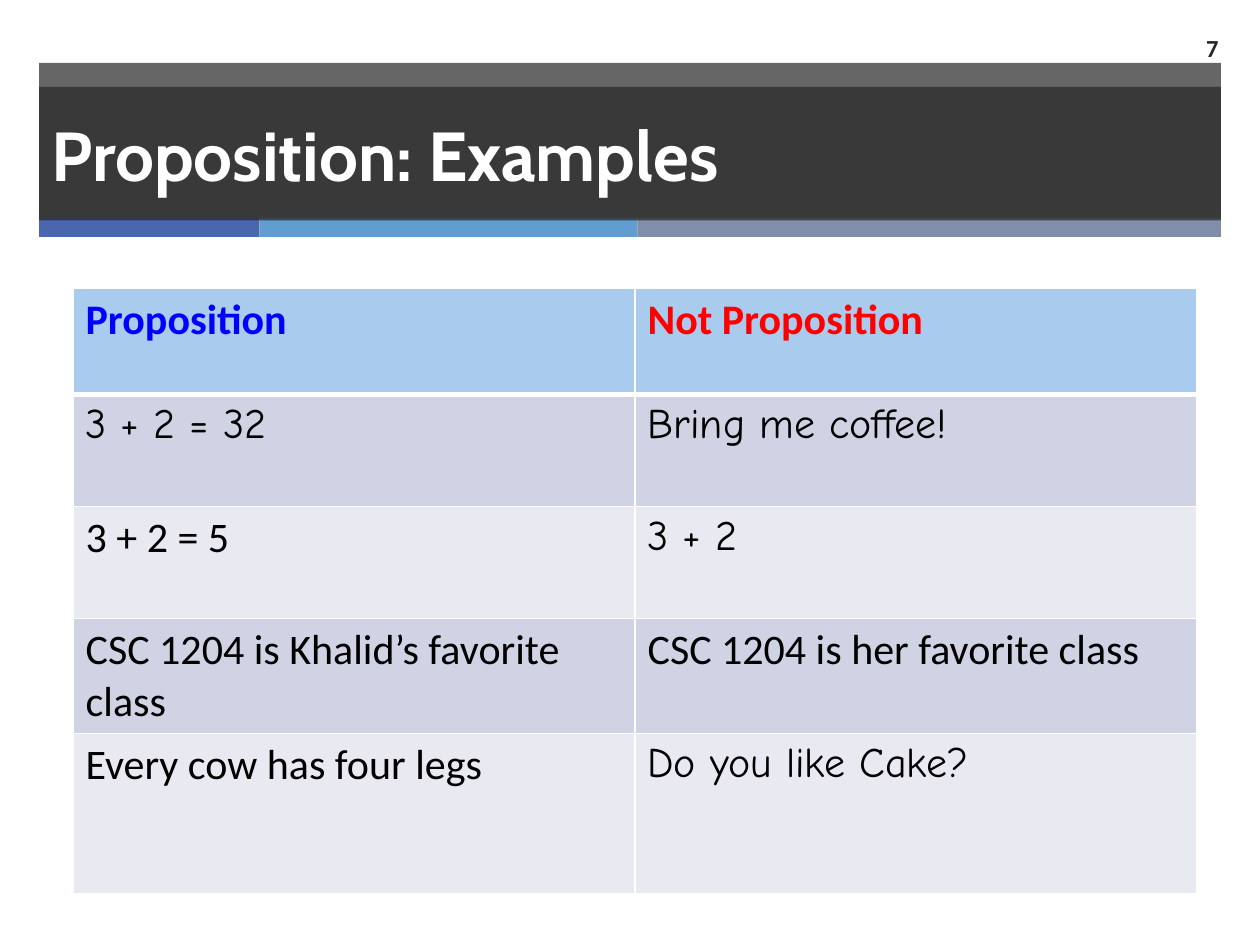
from dataclasses import dataclass

from pptx import Presentation
from pptx.dml.color import RGBColor
from pptx.enum.shapes import MSO_SHAPE
from pptx.enum.text import MSO_ANCHOR, PP_ALIGN
from pptx.oxml.ns import qn
from pptx.oxml.xmlchemy import OxmlElement
from pptx.util import Inches, Pt


@dataclass(frozen=True)
class Theme:
    dark: str = "262626"
    white: str = "FFFFFF"
    black: str = "000000"
    blue: str = "0000FF"
    red: str = "FF0000"
    header: str = "A9CCEE"
    bands: tuple = ("D0D3E3", "E9EAF1")
    stripes: tuple = ("4A66AC", "629DD1", "7F8FA9")
    heading: str = "Cabin"
    body: str = "Calibri"
    hand: str = "Comic Neue"
    title_size: float = 39.6
    body_size: float = 24
    number_size: float = 14


THEME = Theme()
HEADINGS = [("Proposition", THEME.blue), ("Not Proposition", THEME.red)]
ROWS = [
    [("3 + 2 = 32", THEME.hand), ("Bring me coffee!", THEME.hand)],
    [("3 + 2 = 5", THEME.body), ("3 + 2", THEME.hand)],
    [("CSC 1204 is Khalid’s favorite class", THEME.body),
     ("CSC 1204 is her favorite class", THEME.body)],
    [("Every cow has four legs", THEME.body), ("Do you like Cake?", THEME.hand)],
]
ROW_HEIGHTS = [0.84, 0.89, 0.89, 0.91, 1.27]


def write(tf, text, color, **formats):
    p = tf.paragraphs[0]
    r = p.add_run()
    r.text = text
    r.font.color.rgb = RGBColor.from_string(color)
    for name, value in formats.items():
        setattr(r.font, name, value)
    return p


def add_bar(slide, left, top, width, height, color, opacity=100):
    sp = slide.shapes.add_shape(MSO_SHAPE.RECTANGLE, Inches(left), Inches(top),
                                Inches(width), Inches(height))
    sp.shadow.inherit = False
    sp.line.fill.background()
    sp.fill.solid()
    sp.fill.fore_color.rgb = RGBColor.from_string(color)
    if opacity < 100:
        alpha = OxmlElement("a:alpha")
        alpha.set("val", str(opacity * 1000))
        sp.element.spPr.find(qn("a:solidFill"))[0].append(alpha)
    return sp


def add_title_banner(slide, left, top, width, title):
    add_bar(slide, left, top, width, 1.24, THEME.dark, 70)
    x = left
    stripe_widths = (1.75, 3, width - 4.75)
    for stripe_width, color in zip(stripe_widths, THEME.stripes):
        add_bar(slide, x, top + 1.23, stripe_width, 0.15, color)
        x += stripe_width
    sp = add_bar(slide, left, top + 0.19, width, 1.06, THEME.dark, 70)
    tf = sp.text_frame
    tf.vertical_anchor = MSO_ANCHOR.MIDDLE
    p = write(tf, title, THEME.white, name=THEME.heading,
              size=Pt(THEME.title_size), bold=True)
    p.alignment = PP_ALIGN.LEFT


def add_slide_number(slide, left, top, width, height, number):
    tb = slide.shapes.add_textbox(Inches(left), Inches(top), Inches(width), Inches(height))
    tf = tb.text_frame
    tf.word_wrap = True
    tf.vertical_anchor = MSO_ANCHOR.MIDDLE
    p = write(tf, number, THEME.dark, name=THEME.body,
              size=Pt(THEME.number_size), bold=True)
    p.alignment = PP_ALIGN.RIGHT


def set_borders(cell, **widths):
    """Draw white borders; widths in points, keyed by side L, R, T, B in that order."""
    tc_pr = cell._tc.get_or_add_tcPr()
    for side, width in widths.items():
        ln = OxmlElement(f"a:ln{side}")
        ln.set("w", str(Pt(width)))
        fill = OxmlElement("a:solidFill")
        color = OxmlElement("a:srgbClr")
        color.set("val", THEME.white)
        fill.append(color)
        ln.append(fill)
        tc_pr.append(ln)


def add_examples_table(slide, left, top, width):
    table = slide.shapes.add_table(len(ROW_HEIGHTS), len(HEADINGS), Inches(left), Inches(top),
                                   Inches(width), Inches(sum(ROW_HEIGHTS))).table
    for row, height in zip(table.rows, ROW_HEIGHTS):
        row.height = Inches(height)
    cells = [[(text, color, THEME.body) for text, color in HEADINGS]]
    cells += [[(text, THEME.black, font) for text, font in row] for row in ROWS]
    for i, row in enumerate(cells):
        background = THEME.bands[(i - 1) % 2] if i else THEME.header
        for j, (text, color, font) in enumerate(row):
            cell = table.cell(i, j)
            set_borders(cell, L=1, R=1, T=3 if i == 1 else 1, B=1 if i else 3)
            cell.fill.solid()
            cell.fill.fore_color.rgb = RGBColor.from_string(background)
            write(cell.text_frame, text, color, name=font,
                  size=Pt(THEME.body_size), bold=i == 0)


def main():
    prs = Presentation()
    prs.slide_width, prs.slide_height = Inches(10), Inches(7.5)
    slide = prs.slides.add_slide(prs.slide_layouts[6])
    add_title_banner(slide, 0.31, 0.5, 9.38, "Proposition: Examples")
    add_examples_table(slide, 0.58, 2.29, 8.92)
    add_slide_number(slide, 9.08, 0.18, 0.69, 0.39, "7")
    prs.save("out.pptx")


if __name__ == "__main__":
    main()
